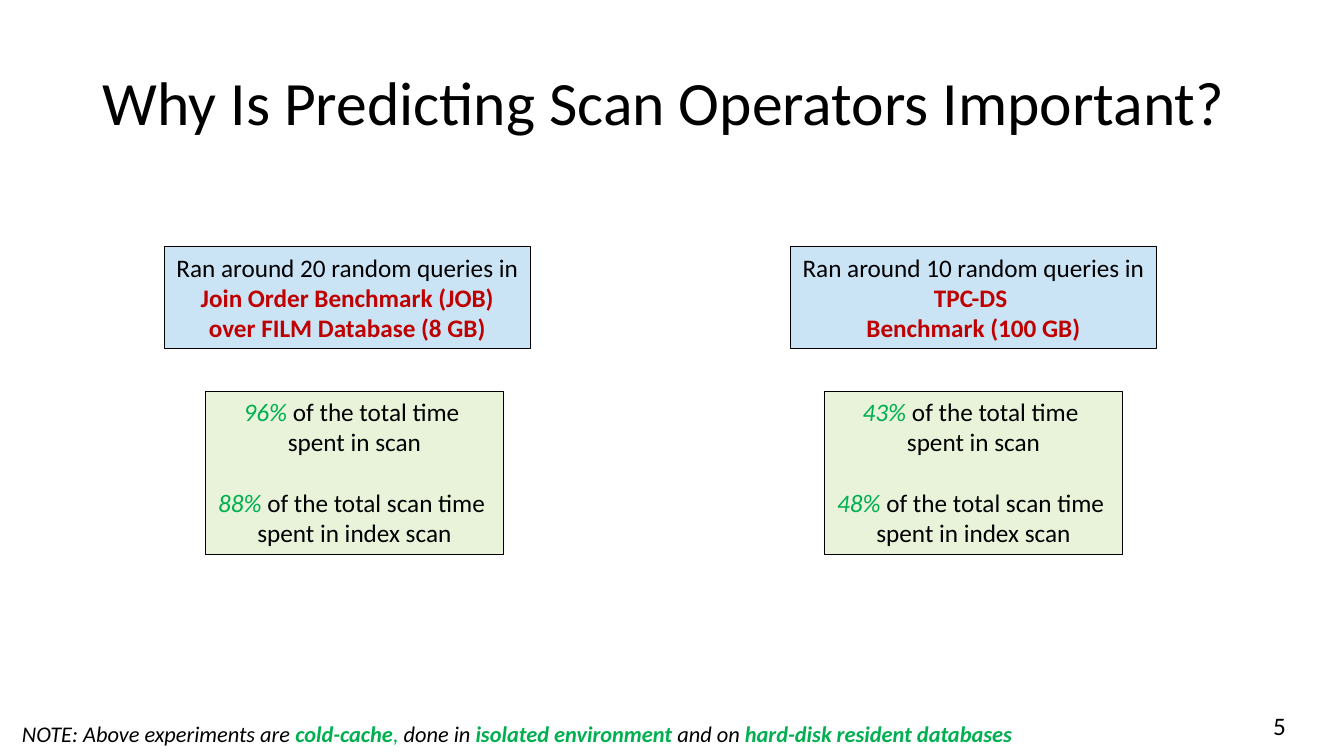
from pptx import Presentation
from pptx import util as u
from pptx.dml.color import RGBColor
from pptx.enum import shapes, text

BLACK = RGBColor(0x00, 0x00, 0x00)
RED = RGBColor(0xC0, 0x00, 0x00)
GREEN = RGBColor(0x00, 0xB0, 0x50)
PALE_BLUE = RGBColor(0xCA, 0xE4, 0xF6)
PALE_GREEN = RGBColor(0xE8, 0xF3, 0xDA)

PLAIN = {}
STRONG = {"color": RED, "bold": True}
SHARE = {"color": GREEN, "italic": True}
NOTE = {"italic": True}
NOTE_GREEN = {"color": GREEN, "italic": True}
NOTE_KEY = {"color": GREEN, "bold": True, "italic": True}


class ScanSlide:
    """Holds the text style and the current slide, and adds its elements."""

    def __init__(self, deck, font="Calibri", size=18):
        self.slide = deck.slides.add_slide(deck.slide_layouts[5])
        self.font = font
        self.size = size

    def add_run(self, para, words, size=None, color=BLACK, bold=False, italic=False):
        span = para.add_run()
        span.text = words
        span.font.name = self.font
        span.font.size = u.Pt(size or self.size)
        span.font.color.rgb = color
        span.font.bold = bold
        span.font.italic = italic

    def title(self, words, left, top, width, height):
        box = self.slide.shapes.title
        box.left, box.top = u.Inches(left), u.Inches(top)
        box.width, box.height = u.Inches(width), u.Inches(height)
        frame = box.text_frame
        frame.auto_size = text.MSO_AUTO_SIZE.NONE
        frame.vertical_anchor = text.MSO_ANCHOR.MIDDLE
        para = frame.paragraphs[0]
        para.alignment = text.PP_ALIGN.LEFT
        para.line_spacing = 0.9
        self.add_run(para, words, size=44)

    def panel(self, lines, left, top, width, height, fill, gap_before=None):
        box = self.slide.shapes.add_shape(
            shapes.MSO_SHAPE.RECTANGLE,
            u.Inches(left), u.Inches(top), u.Inches(width), u.Inches(height))
        box.shadow.inherit = False
        box.fill.solid()
        box.fill.fore_color.rgb = fill
        box.line.color.rgb = BLACK
        box.line.width = u.Pt(0.75)
        frame = box.text_frame
        frame.word_wrap = True
        frame.vertical_anchor = text.MSO_ANCHOR.TOP
        for index, runs in enumerate(lines):
            para = frame.add_paragraph() if index else frame.paragraphs[0]
            para.alignment = text.PP_ALIGN.CENTER
            if index == gap_before:
                para.space_before = u.Pt(22)
            for words, style in runs:
                self.add_run(para, words, **style)

    def label(self, runs, left, top, width, height, size=None):
        box = self.slide.shapes.add_textbox(
            u.Inches(left), u.Inches(top), u.Inches(width), u.Inches(height))
        box.text_frame.word_wrap = False
        for words, style in runs:
            self.add_run(box.text_frame.paragraphs[0], words, size=size, **style)


def main():
    deck = Presentation()
    deck.slide_width, deck.slide_height = u.Inches(13.33), u.Inches(7.5)
    page = ScanSlide(deck)
    page.title("Why Is Predicting Scan Operators Important?", 0.92, 0.32, 11.5, 1.45)

    experiments = [
        (1.63, 2.04, "20", "Join Order Benchmark (JOB)",
         "over FILM Database (8 GB)", "96% ", "88% "),
        (7.84, 8.18, "10", "TPC-DS ", "Benchmark (100 GB)", "43% ", "48% "),
    ]
    for setup_left, result_left, count, name, data, scan, index_scan in experiments:
        setup = [
            [(f"Ran around {count} random queries in", PLAIN)],
            [(name, STRONG)],
            [(data, STRONG)],
        ]
        result = [
            [(scan, SHARE), ("of the total time ", PLAIN)],
            [("spent in scan", PLAIN)],
            [(index_scan, SHARE), ("of the total scan time ", PLAIN)],
            [("spent in index scan", PLAIN)],
        ]
        page.panel(setup, setup_left, 2.45, 3.63, 1.01, PALE_BLUE)
        page.panel(result, result_left, 3.88, 2.95, 1.62, PALE_GREEN, gap_before=2)

    note = [
        ("NOTE: Above experiments are ", NOTE),
        ("cold-cache", NOTE_KEY),
        (", ", NOTE_GREEN),
        ("done in ", NOTE),
        ("isolated environment ", NOTE_KEY),
        ("and on ", NOTE),
        ("hard-disk resident databases", NOTE_KEY),
    ]
    page.label(note, 0.12, 7.1, 10.16, 0.37, size=16)
    page.label([("5", PLAIN)], 12.53, 7, 0.33, 0.4)
    deck.save("out.pptx")


if __name__ == "__main__":
    main()
